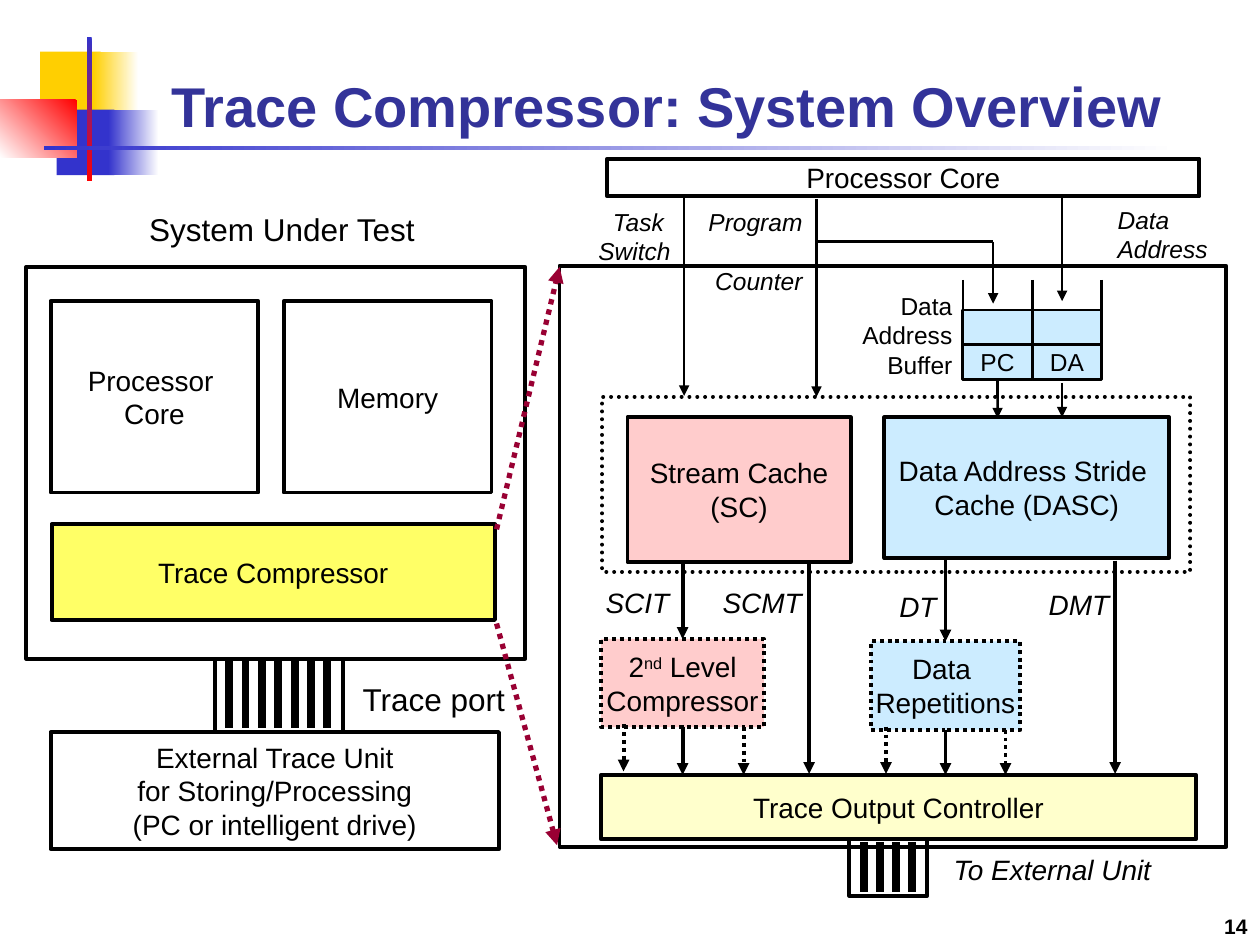
import lxml.etree
import pptx
import pptx.dml.color
import pptx.enum.dml
import pptx.enum.shapes
import pptx.enum.text
import pptx.oxml.ns
import pptx.util

Cm = pptx.util.Cm
Pt = pptx.util.Pt
RGBColor = pptx.dml.color.RGBColor
qn = pptx.oxml.ns.qn
ALIGN = pptx.enum.text.PP_ALIGN
ANCHOR = pptx.enum.text.MSO_ANCHOR
RECTANGLE = pptx.enum.shapes.MSO_SHAPE.RECTANGLE
DOTTED = pptx.enum.dml.MSO_LINE.ROUND_DOT

BLACK = RGBColor(0x00, 0x00, 0x00)
WHITE = RGBColor(0xFF, 0xFF, 0xFF)
GOLD = RGBColor(0xFF, 0xCF, 0x01)
BLUE = RGBColor(0x33, 0x33, 0xCC)
RED = RGBColor(0xFF, 0x00, 0x00)
TITLE_BLUE = RGBColor(0x33, 0x33, 0x99)
PINK = RGBColor(0xFF, 0xCC, 0xCC)
SKY = RGBColor(0xCC, 0xEC, 0xFF)
CREAM = RGBColor(0xFF, 0xFF, 0xCC)
YELLOW = RGBColor(0xFF, 0xFF, 0x66)
MAROON = RGBColor(0x99, 0x00, 0x33)


def write_text(shape, text, size, align=ALIGN.CENTER, anchor=ANCHOR.MIDDLE,
               wrap=False, color=BLACK, gap=0, **font_format):
    """Split text at newlines (paragraphs), | (line breaks) and ^ (superscripts)."""
    frame = shape.text_frame
    frame.word_wrap = wrap
    frame.vertical_anchor = anchor
    for number, content in enumerate(text.split("\n")):
        paragraph = frame.add_paragraph() if number else frame.paragraphs[0]
        paragraph.alignment = align
        if number:
            paragraph.space_before = Pt(gap)
        for line_number, line in enumerate(content.split("|")):
            if line_number:
                paragraph.add_line_break()
            for part_number, part in enumerate(line.split("^")):
                run = paragraph.add_run()
                run.text = part
                run.font.color.rgb = color
                values = {"name": "Arial", "size": Pt(size), **font_format}
                for name, value in values.items():
                    setattr(run.font, name, value)
                if part_number % 2:
                    run._r.get_or_add_rPr().set("baseline", "30000")


def add_line(start, end, width, color=BLACK, dash=None, arrow=True):
    ends = [Cm(value) for value in (*start, *end)]
    connector = slide.shapes.add_connector(
        pptx.enum.shapes.MSO_CONNECTOR.STRAIGHT, *ends)
    connector.line.color.rgb = color
    connector.line.width = Pt(width)
    if dash:
        connector.line.dash_style = dash
    if arrow:
        lxml.etree.SubElement(connector.line._get_or_add_ln(), qn("a:tailEnd"), type="triangle")
    lxml.etree.SubElement(connector._element.spPr, qn("a:effectLst"))
    return connector


presentation = pptx.Presentation()
presentation.slide_width = Cm(25.4)
presentation.slide_height = Cm(19.05)
slide = presentation.slides.add_slide(presentation.slide_layouts[5])

# Corner ornament and rule: left, top, width, height, colours, angle
for *place, colors, angle in [
    (0.81, 1.04, 1.22, 1.32, [GOLD], None),
    (1.88, 1.04, 0.91, 1.32, [WHITE, GOLD], 180),
    (1.14, 2.21, 1.17, 1.32, [BLUE], None),
    (2.18, 2.21, 1.02, 1.32, [WHITE, BLUE], 180),
    (0, 2.01, 1.55, 1.17, [RED, WHITE], 225),
    (1.75, 0.74, 0.1, 2.92, [BLUE, RED], 270),
    (0.89, 2.95, 22.86, 0.08, [WHITE, BLUE], 180),
]:
    ornament = slide.shapes.add_shape(RECTANGLE, *map(Cm, place))
    ornament.shadow.inherit = False
    ornament.line.fill.background()
    if angle is None:
        ornament.fill.solid()
        ornament.fill.fore_color.rgb = colors[0]
    else:
        ornament.fill.gradient()
        ornament.fill.gradient_angle = angle
        for stop, color in zip(ornament.fill.gradient_stops, colors):
            stop.color.rgb = color

title = slide.shapes.title
title_format = {"left": Cm(3.2), "top": Cm(0.43), "width": Cm(21.64), "height": Cm(2.49)}
for name, value in title_format.items():
    setattr(title, name, value)
write_text(title, "Trace Compressor: System Overview", 32, ALIGN.LEFT,
           ANCHOR.BOTTOM, True, TITLE_BLUE, bold=True)

# Boxes: name, left, top, width, height, fill, dash, text
boxes = {}
for key, *place, fill, dash, text in [
    ("caches", 12.14, 8, 11.86, 3.53, None, DOTTED, ""),
    ("stream cache", 12.65, 8.41, 4.5, 2.92, PINK, None, "Stream Cache|(SC)"),
    ("stride cache", 17.83, 8.41, 5.74, 2.84, SKY, None,
     "Data Address Stride |Cache (DASC)"),
    ("second level", 12.12, 12.88, 3.28, 1.78, PINK, DOTTED, "2^nd^ Level|Compressor"),
    ("repetitions", 17.55, 12.93, 3.02, 1.78, SKY, DOTTED, "Data |Repetitions"),
    ("core", 12.24, 3.2, 11.94, 0.76, None, None, "Processor Core"),
    ("compressor detail", 11.28, 5.36, 13.44, 11.71, None, None, ""),
    ("output", 12.12, 15.62, 11.99, 1.3, CREAM, None, "Trace Output Controller"),
    ("output port", 17.12, 16.92, 1.57, 1.14, None, None, ""),
    ("system", 0.53, 5.38, 10.06, 7.9, None, None, ""),
    ("system core", 1.02, 6.07, 4.19, 3.86, None, None, "Processor |Core"),
    ("memory", 5.72, 6.07, 4.19, 3.86, None, None, "Memory"),
    ("compressor", 1.04, 10.57, 8.94, 1.93, YELLOW, None, "Trace Compressor"),
    ("trace port", 4.34, 13.28, 2.57, 1.47, None, None, ""),
    ("external unit", 1.02, 14.76, 9.04, 2.36, None, None,
     "External Trace Unit|for Storing/Processing\n(PC or intelligent drive)"),
    ("buffer 1", 19.41, 6.25, 1.4, 0.7, SKY, None, ""),
    ("buffer 2", 20.81, 6.25, 1.4, 0.7, SKY, None, ""),
    ("buffer PC", 19.41, 6.95, 1.4, 0.7, SKY, None, "PC"),
    ("buffer DA", 20.81, 6.95, 1.4, 0.7, SKY, None, "DA"),
]:
    in_buffer = key.startswith("buffer")
    box = boxes[key] = slide.shapes.add_shape(RECTANGLE, *map(Cm, place))
    box.shadow.inherit = False
    box.line.color.rgb = BLACK
    box.line.width = Pt(1.5 if in_buffer else 2.25)
    if dash:
        box.line.dash_style = dash
    if fill:
        box.fill.solid()
        box.fill.fore_color.rgb = fill
    else:
        box.fill.background()
    if text:
        write_text(box, text, 14 if in_buffer else 16)
boxes["caches"].line._get_or_add_ln().set("cap", "rnd")

# Port wires and the open top of the address buffer
for first, step, count, top, bottom, width in [
    (4.62, 0.33, 7, 13.33, 14.68, 4.5),
    (17.42, 0.32, 4, 16.97, 17.98, 4.5),
    (19.41, 1.4, 3, 5.64, 6.25, 1.5),
]:
    for index in range(count):
        x = first + step * index
        add_line((x, top), (x, bottom), width, arrow=False)

# Vertical arrows: x, top, bottom, width, dash, box at start, box at end
for x, top, bottom, width, dash, source, target in [
    (13.79, 3.99, 7.98, 1.5, None, None, None),
    (16.46, 4.01, 8, 1.5, None, None, None),
    (21.41, 3.99, 6.07, 1.5, None, None, None),
    (20.02, 4.87, 6.12, 1.5, None, None, None),
    (20.11, 7.65, 8.43, 1.5, None, "buffer PC", None),
    (21.41, 7.72, 8.41, 1.5, None, None, None),
    (13.76, 11.33, 12.88, 2.25, None, None, "second level"),
    (16.31, 11.35, 15.6, 2.25, None, None, None),
    (19.06, 11.25, 12.93, 2.25, None, None, "repetitions"),
    (22.48, 11.3, 15.6, 2.25, None, None, None),
    (13.76, 14.66, 15.62, 2.25, None, "second level", None),
    (19.06, 14.71, 15.62, 2.25, None, "repetitions", None),
    (12.57, 14.6, 15.55, 2.25, DOTTED, None, None),
    (14.99, 14.66, 15.62, 2.25, DOTTED, None, None),
    (17.86, 14.65, 15.6, 2.25, DOTTED, None, None),
    (20.27, 14.71, 15.62, 2.25, DOTTED, None, None),
]:
    arrow = add_line((x, top), (x, bottom), width, dash=dash)
    if source:
        arrow.begin_connect(boxes[source], 2)
    if target:
        arrow.end_connect(boxes[target], 0)

add_line((16.46, 4.87), (20.02, 4.87), 1.5, arrow=False)
add_line((10.01, 10.67), (11.28, 5.38), 3, MAROON, DOTTED)
add_line((10.01, 12.57), (11.23, 17.04), 3, MAROON, DOTTED)

# Labels: left, top, width, height, text, size, alignment, anchor, font format
ITALIC = {"italic": True}
for *place, text, size, align, anchor, font_format in [
    (11.4, 11.68, 2.34, 0.94, "SCIT", 16, ALIGN.RIGHT, ANCHOR.TOP, ITALIC),
    (13.64, 11.68, 2.77, 0.94, "SCMT", 16, ALIGN.RIGHT, ANCHOR.TOP, ITALIC),
    (17.35, 11.76, 1.78, 0.94, "DT", 16, ALIGN.RIGHT, ANCHOR.TOP, ITALIC),
    (19.84, 11.71, 2.77, 0.94, "DMT", 16, ALIGN.RIGHT, ANCHOR.TOP, ITALIC),
    (14.02, 4.04, 2.41, 2.03, "Program\nCounter", 14, ALIGN.RIGHT, ANCHOR.TOP,
     {"italic": True, "gap": 16.9}),
    (22.28, 4.01, 2.41, 1.45, "Data Address", 14, ALIGN.LEFT, ANCHOR.TOP, ITALIC),
    (11.43, 4.04, 2.34, 1.45, "Task |Switch", 14, ALIGN.RIGHT, ANCHOR.TOP, ITALIC),
    (16.76, 5.74, 2.69, 2.03, "Data Address|Buffer", 14, ALIGN.RIGHT, ANCHOR.TOP, {}),
    (18.8, 17.12, 4.83, 0.81, "To External Unit", 16, ALIGN.CENTER, ANCHOR.MIDDLE, ITALIC),
    (1.57, 4.11, 8.23, 1.02, "System Under Test", 18, ALIGN.CENTER, ANCHOR.TOP, {}),
    (7.06, 13.59, 3.61, 1.02, "Trace port", 18, ALIGN.LEFT, ANCHOR.TOP, {}),
    (20.12, 17.78, 5.28, 1.27, "14", 12, ALIGN.RIGHT, ANCHOR.BOTTOM, {"bold": True}),
]:
    label = slide.shapes.add_textbox(*map(Cm, place))
    write_text(label, text, size, align, anchor, True, **font_format)

presentation.save("out.pptx")
